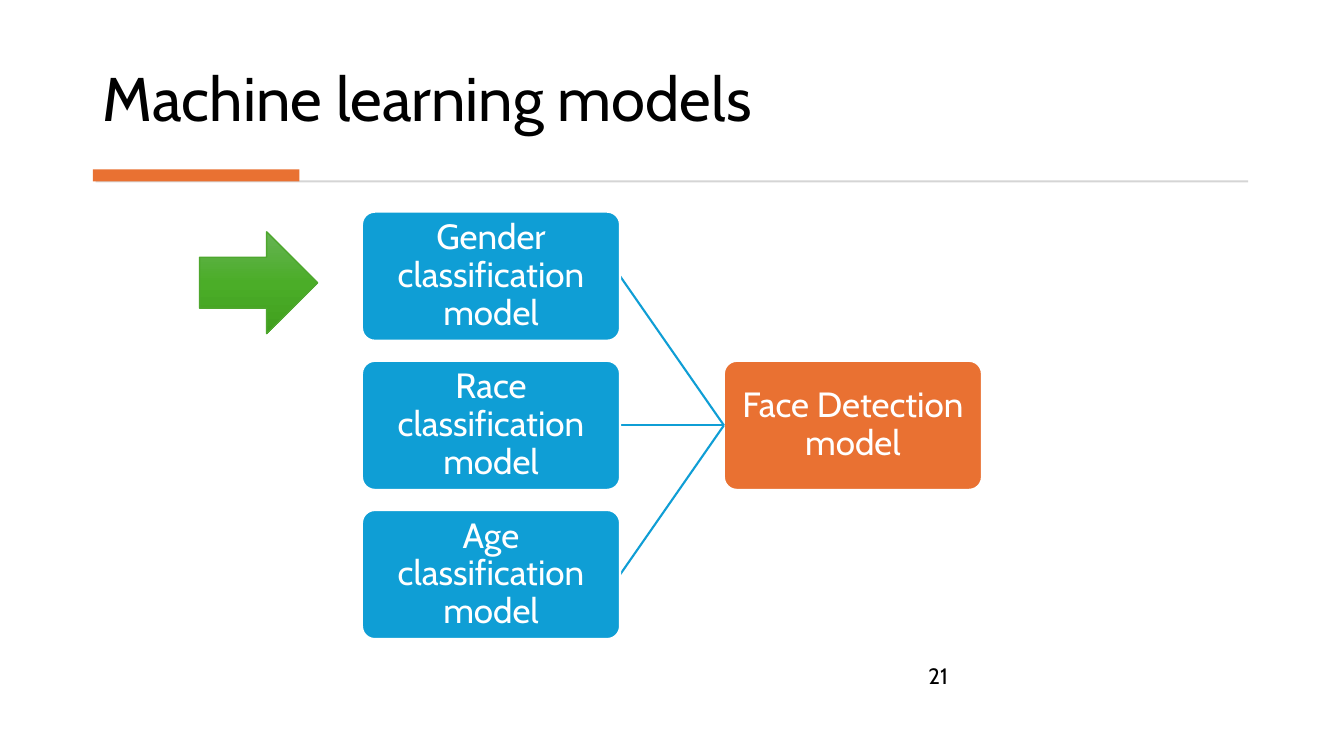
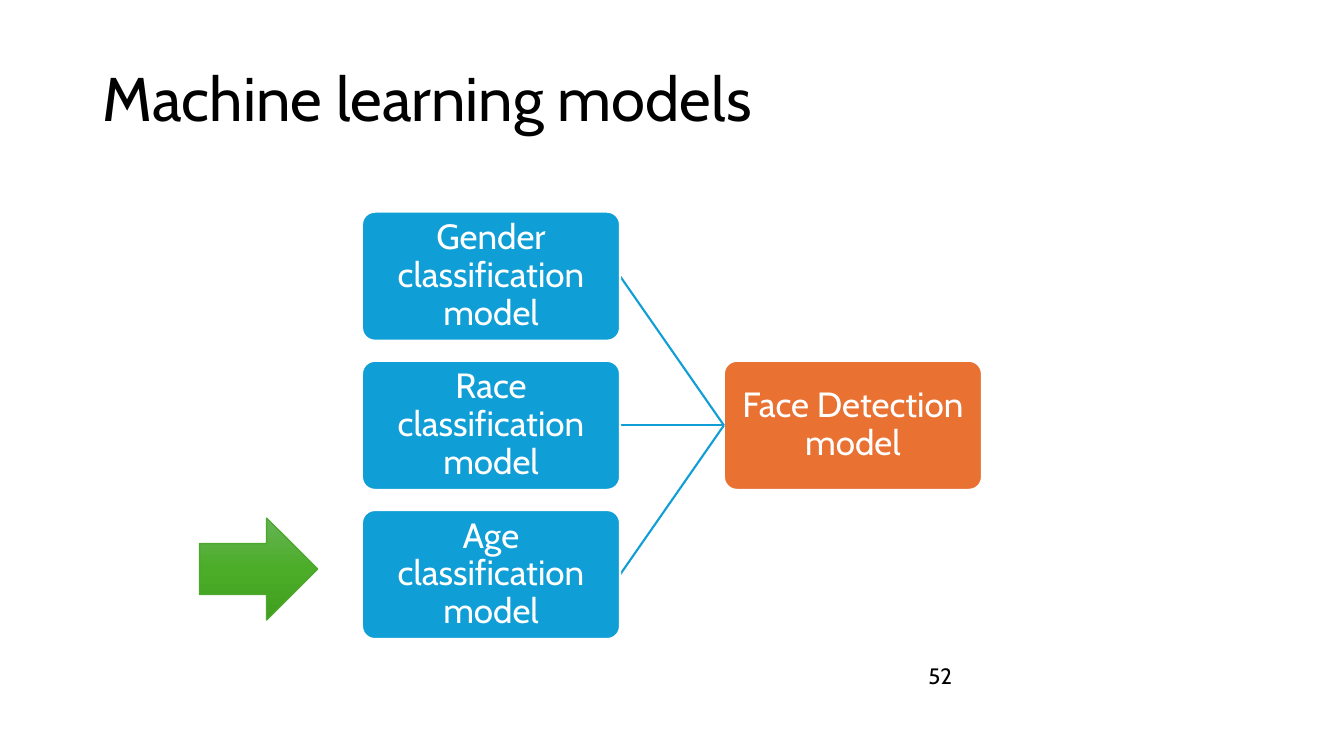
"""Two slides on machine learning models, each pointing at one classifier."""
from copy import deepcopy
from dataclasses import dataclass

from pptx import Presentation
from pptx import util as u
from pptx.dml.color import RGBColor
from pptx.enum import shapes, text
from pptx.oxml.ns import qn
from pptx.oxml.xmlchemy import OxmlElement


@dataclass(frozen=True)
class Theme:
    font: str = "Cabin"
    ink: str = "000000"
    white: str = "FFFFFF"
    blue: str = "0F9ED5"
    orange: str = "E97132"
    rule: str = "D5D5D5"
    arrow_line: str = "4EA72E"
    arrow_stops: tuple = ((0, "66B354"), (0.5, "4BAD28"), (1, "409F1E"))
    title: float = 44
    label: float = 25
    number: float = 15.9


T = Theme()
rgb = RGBColor.from_string
PRESET = shapes.MSO_SHAPE


def write(sp, words, *, size, color=T.ink, align=text.PP_ALIGN.LEFT,
          anchor=text.MSO_ANCHOR.TOP, spacing=1.0, inset=None):
    tf = sp.text_frame
    tf.word_wrap = True
    tf.vertical_anchor = anchor
    if inset is not None:
        tf.margin_left = tf.margin_right = tf.margin_top = tf.margin_bottom = u.Inches(inset)
    p = tf.paragraphs[0]
    p.alignment = align
    p.line_spacing = spacing
    r = p.add_run()
    r.text = words
    r.font.name = T.font
    r.font.size = u.Pt(size)
    r.font.color.rgb = rgb(color)


def add_shape(s, preset, box, fill=None, line=None, width=1.5):
    sp = s.shapes.add_shape(preset, *map(u.Inches, box))
    sp.shadow.inherit = False
    if fill:
        sp.fill.solid()
        sp.fill.fore_color.rgb = rgb(fill)
    if line:
        sp.line.color.rgb = rgb(line)
        sp.line.width = u.Pt(width)
    else:
        sp.line.fill.background()
    return sp


BOX_W, BOX_H = 2.56, 1.28
LEFT_X, RIGHT_X = 3.59, 7.18
MIDDLE_Y, PITCH = 3.58, 1.48
CLASSIFIERS = ["Gender", "Race", "Age"]
MODELS = [("Face Detection model", RIGHT_X, MIDDLE_Y, T.orange)] + [
    (f"{name} classification model", LEFT_X, MIDDLE_Y + (i - 1) * PITCH, T.blue)
    for i, name in enumerate(CLASSIFIERS)
]
SLIDES = [("21", 2.3, True), ("52", 5.14, False)]

prs = Presentation()
prs.slide_width, prs.slide_height = u.Inches(13.33), u.Inches(7.5)

for number, arrow_y, has_band in SLIDES:
    s = prs.slides.add_slide(prs.slide_layouts[6])

    title = s.shapes.add_textbox(*map(u.Inches, (0.92, 0.28, 11.49, 1.11)))
    write(title, "Machine learning models", size=T.title,
          anchor=text.MSO_ANCHOR.BOTTOM, spacing=0.9)
    if has_band:
        add_shape(s, PRESET.RECTANGLE, (0.95, 1.79, 11.43, 0.02), T.rule)
        add_shape(s, PRESET.RECTANGLE, (0.92, 1.68, 2.05, 0.12), T.orange)

    boxes = []
    for label, x, y, color in MODELS:
        sp = add_shape(s, PRESET.ROUNDED_RECTANGLE, (x, y, BOX_W, BOX_H), color, T.white)
        sp.adjustments[0] = 0.1
        write(sp, label, size=T.label, color=T.white, align=text.PP_ALIGN.CENTER,
              anchor=text.MSO_ANCHOR.MIDDLE, spacing=0.9, inset=0.06)
        boxes.append(sp)

    detector, *classifiers = boxes
    for sp in classifiers:
        link = s.shapes.add_connector(shapes.MSO_CONNECTOR.STRAIGHT, 0, 0, 0, 0)
        link.begin_connect(detector, 1)
        link.end_connect(sp, 3)
        link.line.color.rgb = rgb(T.blue)
        link.line.width = u.Pt(1.5)
        link.element.spPr.append(OxmlElement("a:effectLst"))
        sp.element.addprevious(link.element)

    page = s.shapes.add_textbox(*map(u.Inches, (9.11, 6.52, 2.67, 0.36)))
    write(page, number, size=T.number)

    arrow = add_shape(s, PRESET.RIGHT_ARROW, (1.98, arrow_y, 1.17, 1.01),
                      line=T.arrow_line, width=1)
    arrow.fill.gradient()
    arrow.fill.gradient_angle = 270
    stop_list = arrow.element.spPr.find(".//" + qn("a:gsLst"))
    stop_list.append(deepcopy(stop_list[0]))
    for stop, (position, color) in zip(arrow.fill.gradient_stops, T.arrow_stops):
        stop.position = position
        stop.color.rgb = rgb(color)

prs.save("out.pptx")
